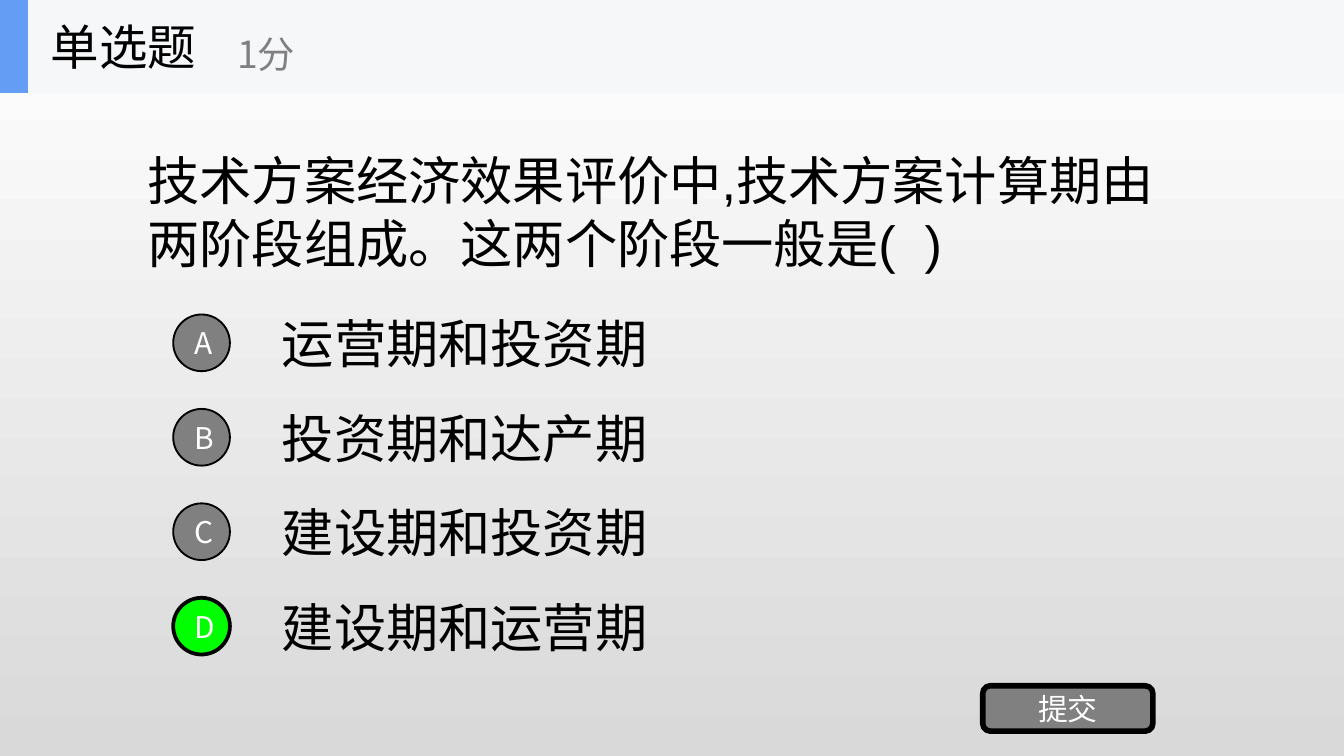
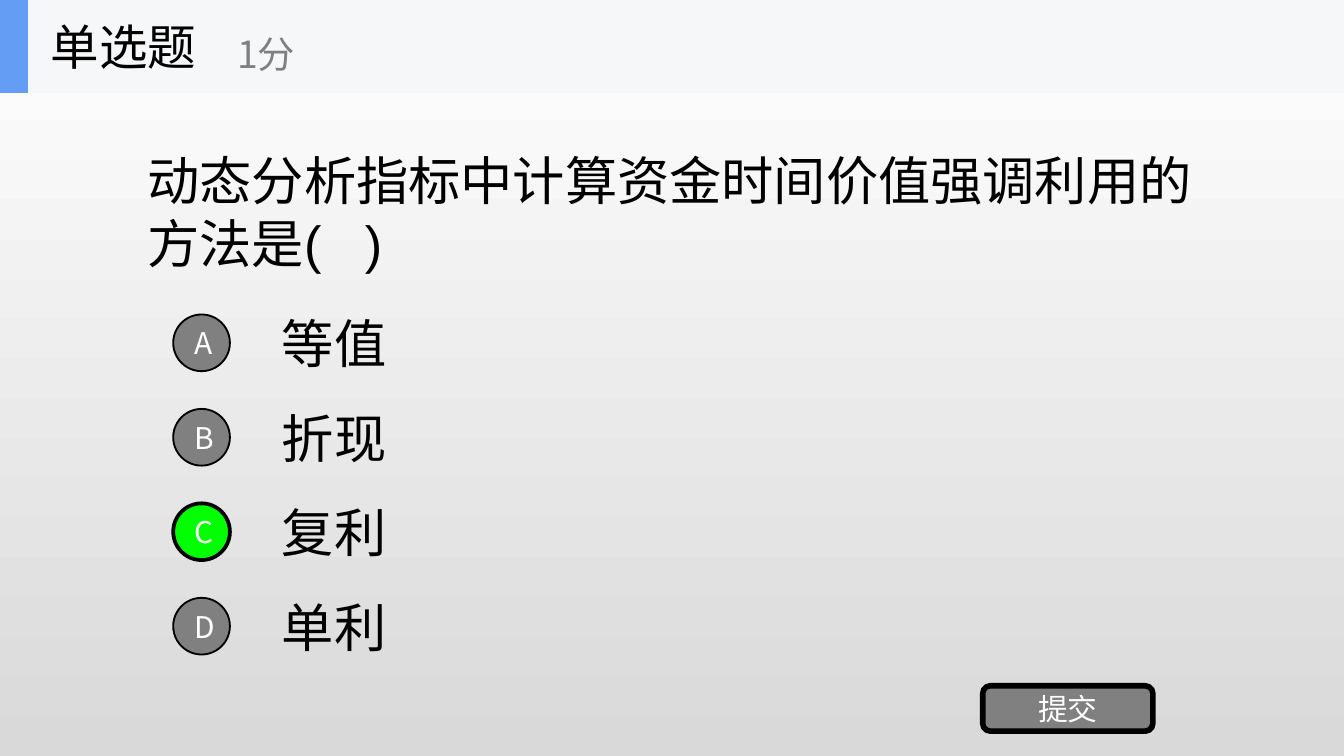
from pptx import Presentation
from pptx.dml.color import RGBColor
from pptx.enum import shapes, text
from pptx.util import Pt

BLACK = RGBColor(0x00, 0x00, 0x00)
WHITE = RGBColor(0xFF, 0xFF, 0xFF)
GRAY = RGBColor(0x80, 0x80, 0x80)
GREEN = RGBColor(0x00, 0xFF, 0x00)
BLUE = RGBColor(0x63, 0x9E, 0xF4)
BAND = RGBColor(0xF6, 0xF7, 0xF8)
BACK_END = RGBColor(0xD9, 0xD9, 0xD9)

BODY_FONT = "Arial"
UI_FONT = "Noto Sans CJK SC"

WIDTH, HEIGHT = 720, 405
HEADER_H = 49.8
OPTION_TOP, OPTION_STEP, OPTION_H = 164.7, 50.6, 38
CIRCLE = 30.4

SHAPE = shapes.MSO_SHAPE

# Question, options, letter of the right answer
QUESTIONS = [
    ("技术方案经济效果评价中,技术方案计算期由两阶段组成。这两个阶段一般是(  )",
     ["运营期和投资期", "投资期和达产期", "建设期和投资期", "建设期和运营期"], "D"),
    ("动态分析指标中计算资金时间价值强调利用的方法是(   )",
     ["等值", "折现", "复利", "单利"], "C"),
]


def write(s, words, size, font, color, align=None, wrap=True):
    tf = s.text_frame
    tf.word_wrap = wrap
    tf.vertical_anchor = text.MSO_ANCHOR.MIDDLE
    p = tf.paragraphs[0]
    p.text = words
    p.alignment = align
    p.font.size = Pt(size)
    p.font.name = font
    p.font.color.rgb = color


def add_text(parent, box, words, size, font=BODY_FONT, color=BLACK, wrap=True):
    s = parent.add_textbox(*map(Pt, box))
    write(s, words, size, font, color, wrap=wrap)


def add_block(parent, kind, box, fill, line=0):
    """Add a filled shape; a line width of 0 means no outline."""
    s = parent.add_shape(kind, *map(Pt, box))
    s.shadow.inherit = False
    s.fill.solid()
    s.fill.fore_color.rgb = fill
    if line:
        s.line.color.rgb = BLACK
        s.line.width = Pt(line)
    else:
        s.line.fill.background()
    return s


def add_button(parent, kind, box, label, fill, line):
    s = add_block(parent, kind, box, fill, line)
    write(s, label, 16, UI_FONT, WHITE, text.PP_ALIGN.CENTER)


def add_background(slide):
    fill = slide.background.fill
    fill.gradient()
    fill.gradient_angle = 270
    for stop, color, position in zip(fill.gradient_stops, (WHITE, BACK_END), (0, 1)):
        stop.color.rgb = color
        stop.position = position


def add_header(slide):
    header = slide.shapes.add_group_shape().shapes
    add_block(header, SHAPE.RECTANGLE, (0, 0, WIDTH, HEADER_H), BAND)
    add_block(header, SHAPE.RECTANGLE, (0, 0, 15, HEADER_H), BLUE)
    add_text(header, (20, 0, 150, HEADER_H), "单选题", 26, UI_FONT, wrap=False)
    add_text(header, (120, 8.8, 180, 40.3), "1分", 20, UI_FONT, GRAY, wrap=False)


def add_options(slide, options, answer):
    tops = [OPTION_TOP + i * OPTION_STEP for i in range(len(options))]
    for top, option in zip(tops, options):
        add_text(slide.shapes, (144, top, 504, OPTION_H), option, 28)
    for top, letter in zip(tops, "ABCD"):
        fill, line = (GREEN, 2) if letter == answer else (GRAY, 1)
        box = (92.8, top + (OPTION_H - CIRCLE) / 2, CIRCLE, CIRCLE)
        add_button(slide.shapes, SHAPE.OVAL, box, letter, fill, line)


def add_question_slide(prs, question, options, answer):
    slide = prs.slides.add_slide(prs.slide_layouts[6])
    add_background(slide)
    add_text(slide.shapes, (72, HEADER_H, 576, 126.6), question, 28)
    add_options(slide, options, answer)
    add_button(slide.shapes, SHAPE.ROUNDED_RECTANGLE, (526.5, 367.4, 91.1, 24.3),
               "提交", GRAY, 3)
    add_header(slide)


def main():
    prs = Presentation()
    prs.slide_width, prs.slide_height = Pt(WIDTH), Pt(HEIGHT)
    for question, options, answer in QUESTIONS:
        add_question_slide(prs, question, options, answer)
    prs.save("out.pptx")


if __name__ == "__main__":
    main()
